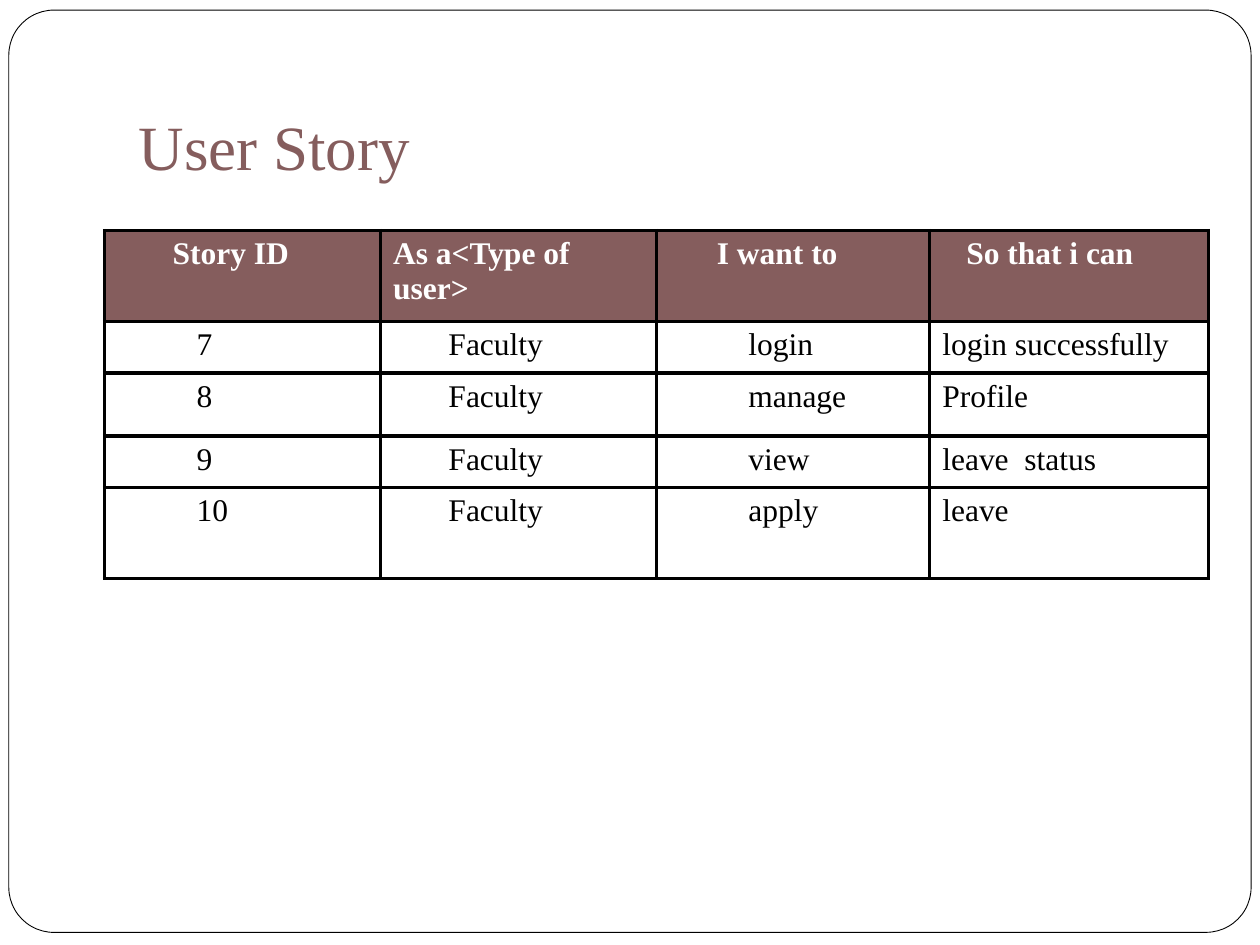
"""Build the User Story slide."""
import pptx
import pptx.dml.color
import pptx.enum.shapes
import pptx.enum.text
import pptx.oxml
import pptx.oxml.ns
import pptx.util

Inches = pptx.util.Inches
Pt = pptx.util.Pt

FONT = "Times New Roman"
ACCENT, BLACK, WHITE = "855D5D", "000000", "FFFFFF"
COLUMN_WIDTHS = [2.19, 2.19, 2.17, 2.21]
ROW_HEIGHTS = [0.72, 0.41, 0.5, 0.41, 0.72]
HEADER_INDENTS = [0.54, 0.1, 0.48, 0.29]
BODY_INDENTS = [0.73, 0.54, 0.73, 0.1]
STORIES = [
    ["Story ID", "As a<Type of user>", "I want to", "So that i can"],
    ["7", "Faculty", "login", "login successfully"],
    ["8", "Faculty", "manage", "Profile"],
    ["9", "Faculty", "view", "leave  status"],
    ["10", "Faculty", "apply", "leave"],
]


def color(value):
    """Return the colour for a hex string."""
    return pptx.dml.color.RGBColor.from_string(value)


def set_attributes(target, values):
    """Set each attribute named in a dict."""
    for name, value in values.items():
        setattr(target, name, value)


def write_text(text_frame, text, size, text_color, bold=False):
    """Write one left-aligned paragraph in the slide font."""
    paragraph = text_frame.paragraphs[0]
    paragraph.alignment = pptx.enum.text.PP_ALIGN.LEFT
    run = paragraph.add_run()
    run.text = text
    set_attributes(run.font, {"name": FONT, "size": Pt(size), "bold": bold})
    run.font.color.rgb = color(text_color)


def add_frame(slide):
    """Add the rounded frame behind everything else."""
    frame = slide.shapes.add_shape(
        pptx.enum.shapes.MSO_SHAPE.ROUNDED_RECTANGLE,
        Inches(0.07), Inches(0.08), Inches(9.86), Inches(7.32))
    frame.adjustments[0] = 0.049
    frame.shadow.inherit = False
    frame.fill.solid()
    frame.fill.fore_color.rgb = color(WHITE)
    frame.line.color.rgb = color(BLACK)
    frame.line.width = Pt(0.5)
    slide.shapes.element.insert(2, frame.element)


def format_title(slide, text):
    """Place and fill the title placeholder."""
    title = slide.shapes.title
    set_attributes(title, {
        "left": Inches(1), "top": Inches(0.3),
        "width": Inches(8.5), "height": Inches(1.25)})
    set_attributes(title.text_frame, {
        "vertical_anchor": pptx.enum.text.MSO_ANCHOR.BOTTOM,
        "auto_size": pptx.enum.text.MSO_AUTO_SIZE.NONE,
        "word_wrap": True,
        "margin_left": Inches(0.1), "margin_right": Inches(0.1),
        "margin_top": Inches(0.05), "margin_bottom": Inches(0.1)})
    write_text(title.text_frame, text, 36, ACCENT)


def add_borders(cell, line_color, width):
    """Draw all four borders of a cell."""
    properties = cell._tc.get_or_add_tcPr()
    namespace = pptx.oxml.ns.nsdecls("a")
    for position, side in enumerate("LRTB"):
        properties.insert(position, pptx.oxml.parse_xml(
            f'<a:ln{side} {namespace} w="{Pt(width)}"><a:solidFill>'
            f'<a:srgbClr val="{line_color}"/></a:solidFill></a:ln{side}>'))


def format_cell(cell, text, indent, is_header):
    """Fill one table cell with text, colour and borders."""
    cell.margin_left = Inches(indent)
    cell.fill.solid()
    cell.fill.fore_color.rgb = color(ACCENT if is_header else WHITE)
    write_text(cell.text_frame, text, 18, WHITE if is_header else BLACK, is_header)
    add_borders(cell, BLACK, 2.25)


def add_story_table(slide):
    """Add the table of user stories."""
    table = slide.shapes.add_table(
        len(ROW_HEIGHTS), len(COLUMN_WIDTHS), Inches(0.83), Inches(1.83),
        Inches(sum(COLUMN_WIDTHS)), Inches(sum(ROW_HEIGHTS))).table
    for column, width in zip(table.columns, COLUMN_WIDTHS):
        column.width = Inches(width)
    for row_index, (row, height) in enumerate(zip(table.rows, ROW_HEIGHTS)):
        row.height = Inches(height)
        is_header = row_index == 0
        indents = HEADER_INDENTS if is_header else BODY_INDENTS
        for cell, text, indent in zip(row.cells, STORIES[row_index], indents):
            format_cell(cell, text, indent, is_header)


def main():
    """Build and save the presentation."""
    presentation = pptx.Presentation()
    set_attributes(presentation, {
        "slide_width": Inches(10), "slide_height": Inches(7.5)})
    slide = presentation.slides.add_slide(presentation.slide_layouts[5])
    add_frame(slide)
    format_title(slide, "User Story")
    add_story_table(slide)
    presentation.save("out.pptx")


if __name__ == "__main__":
    main()
